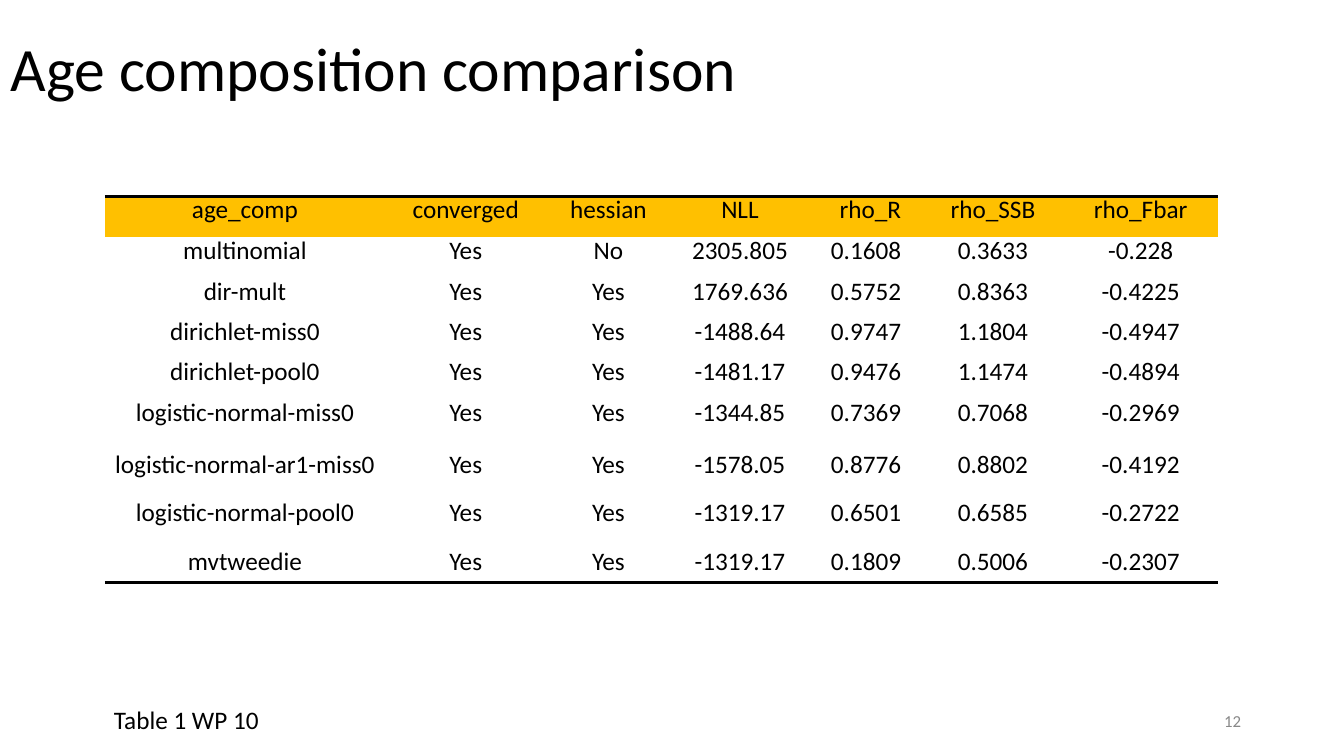
from dataclasses import dataclass

from lxml.etree import SubElement
from pptx import Presentation
from pptx.dml.color import RGBColor
from pptx.enum.text import MSO_ANCHOR, PP_ALIGN
from pptx.oxml.ns import qn
from pptx.util import Inches, Pt

SLIDE_WIDTH = Inches(13.33)
SLIDE_HEIGHT = Inches(7.5)
BLANK_LAYOUT = 6


@dataclass(frozen=True)
class Theme:
    font: str = "Calibri"
    ink: str = "000000"
    muted: str = "888888"
    header: str = "FFC000"
    title_size: float = 44
    body_size: float = 18
    number_size: float = 12
    rule_width: float = 2.25
    tight_line: float = 20.8


THEME = Theme()

COMPARISON = [
    ["age_comp", "converged", "hessian", "NLL", "rho_R", "rho_SSB", "rho_Fbar"],
    ["multinomial", "Yes", "No", "2305.805", "0.1608", "0.3633", "-0.228"],
    ["dir-mult", "Yes", "Yes", "1769.636", "0.5752", "0.8363", "-0.4225"],
    ["dirichlet-miss0", "Yes", "Yes", "-1488.64", "0.9747", "1.1804", "-0.4947"],
    ["dirichlet-pool0", "Yes", "Yes", "-1481.17", "0.9476", "1.1474", "-0.4894"],
    ["logistic-normal-miss0", "Yes", "Yes", "-1344.85", "0.7369", "0.7068", "-0.2969"],
    ["logistic-normal-ar1-miss0", "Yes", "Yes", "-1578.05", "0.8776", "0.8802", "-0.4192"],
    ["logistic-normal-pool0", "Yes", "Yes", "-1319.17", "0.6501", "0.6585", "-0.2722"],
    ["mvtweedie", "Yes", "Yes", "-1319.17", "0.1809", "0.5006", "-0.2307"],
]
COLUMN_SPANS = [21.53, 11.18, 9.3, 10.43, 8.7, 10.35, 11.33]
ROW_SPANS = [5.33, 4.93, 5.33, 5.33, 5.33, 5.87, 6.4, 6.4, 6.13]
LEFT_INSETS = [0, 0, 0.23, 0.08, 0, 0, 0]
RIGHT_INSETS = [0.68, 0.53, 0, 0, 1.88, 0.45, 0.15]
TOP_INSETS = [0, 0, 0.3, 0.3, 0.3, 0.3, 1.36, 1.36, 1.36]
TIGHT_ROWS = 2
RHO_R = 4


def columns(count):
    return round(SLIDE_WIDTH * count / 100)


def rows(count):
    return round(SLIDE_HEIGHT * count / 100)


def write(frame, text, *, size=THEME.body_size, color=THEME.ink,
          align=PP_ALIGN.LEFT, line=None):
    paragraph = frame.paragraphs[0]
    paragraph.alignment = align
    if line:
        paragraph.line_spacing = Pt(line)
    run = paragraph.add_run()
    run.text = text
    run.font.name = THEME.font
    run.font.size = Pt(size)
    run.font.color.rgb = RGBColor.from_string(color)


def set_insets(holder, left, top, right):
    holder.margin_left = columns(left)
    holder.margin_top = rows(top)
    holder.margin_right = columns(right)
    holder.margin_bottom = 0


def add_label(slide, text, left, top, width, height, **style):
    frame = slide.shapes.add_textbox(
        columns(left), rows(top), columns(width), rows(height)).text_frame
    frame.word_wrap = True
    set_insets(frame, 0.08, 0.3, 0)
    write(frame, text, **style)


def set_borders(cell, ruled_edges):
    properties = cell._tc.get_or_add_tcPr()
    for edge in ("lnL", "lnR", "lnT", "lnB"):
        border = SubElement(properties, qn(f"a:{edge}"))
        if edge in ruled_edges:
            border.set("w", str(Pt(THEME.rule_width)))
            fill = SubElement(border, qn("a:solidFill"))
            SubElement(fill, qn("a:srgbClr"), val=THEME.ink)
        else:
            SubElement(border, qn("a:noFill"))


def fill_cell(cell, text, row, column):
    set_insets(cell, LEFT_INSETS[column], TOP_INSETS[row], RIGHT_INSETS[column])
    cell.vertical_anchor = MSO_ANCHOR.TOP
    set_borders(cell, {0: ["lnT"], len(COMPARISON) - 1: ["lnB"]}.get(row, []))
    if row == 0:
        cell.fill.solid()
        cell.fill.fore_color.rgb = RGBColor.from_string(THEME.header)
    else:
        cell.fill.background()
    write(cell.text_frame, text,
          align=PP_ALIGN.RIGHT if column == RHO_R else PP_ALIGN.CENTER,
          line=THEME.tight_line if row < TIGHT_ROWS else None)


def add_comparison(slide, left, top):
    table = slide.shapes.add_table(
        len(ROW_SPANS), len(COLUMN_SPANS), columns(left), rows(top),
        columns(sum(COLUMN_SPANS)), rows(sum(ROW_SPANS))).table
    table.first_row = False
    table.horz_banding = False
    for column, span in zip(table.columns, COLUMN_SPANS):
        column.width = columns(span)
    for row, span in zip(table.rows, ROW_SPANS):
        row.height = rows(span)
    for row, entries in enumerate(COMPARISON):
        for column, entry in enumerate(entries):
            fill_cell(table.cell(row, column), entry, row, column)


def main():
    deck = Presentation()
    deck.slide_width = SLIDE_WIDTH
    deck.slide_height = SLIDE_HEIGHT
    slide = deck.slides.add_slide(deck.slide_layouts[BLANK_LAYOUT])
    add_label(slide, "Age composition comparison", 0.7, 3.6, 55.97, 10.13,
              size=THEME.title_size)
    add_comparison(slide, 7.8, 26)
    add_label(slide, "Table 1 WP 10", 8.4, 92.93, 11.03, 4.4)
    add_label(slide, "12", 91, 93.73, 1.5, 3.07,
              size=THEME.number_size, color=THEME.muted)
    deck.save("out.pptx")


if __name__ == "__main__":
    main()
